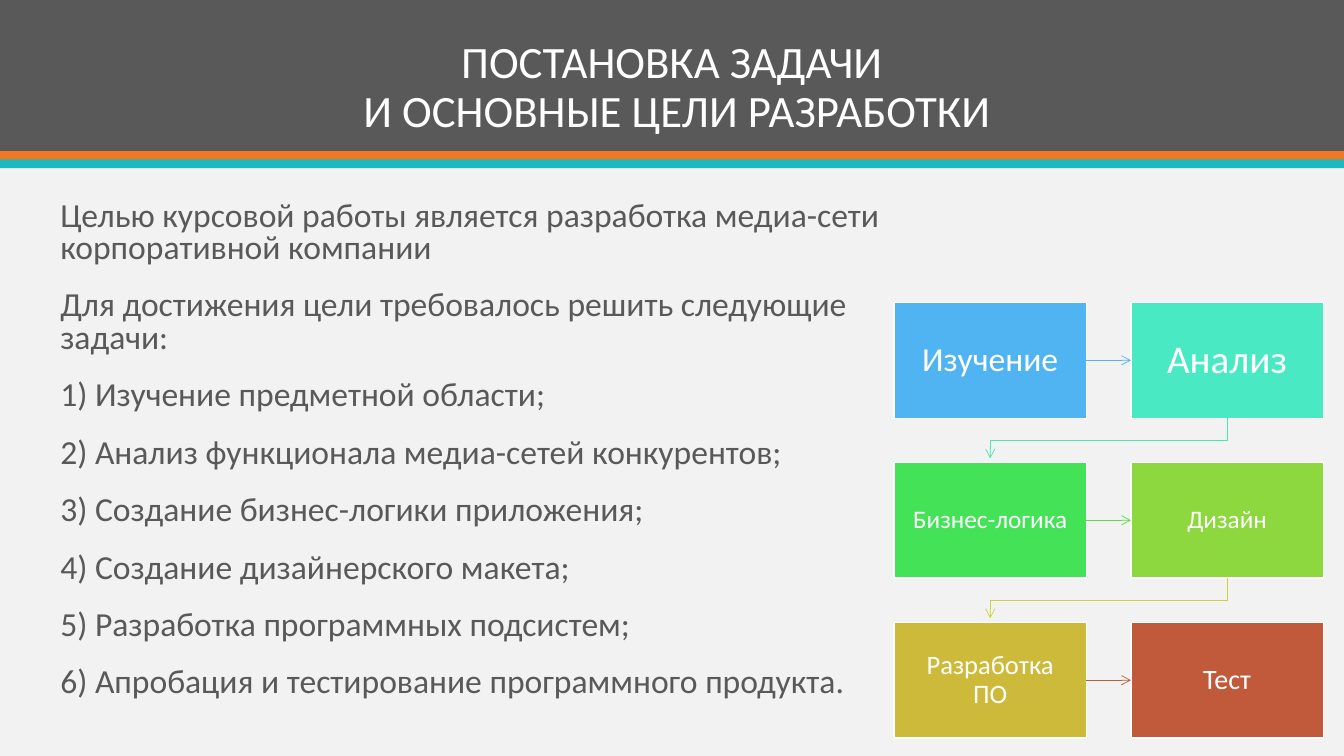
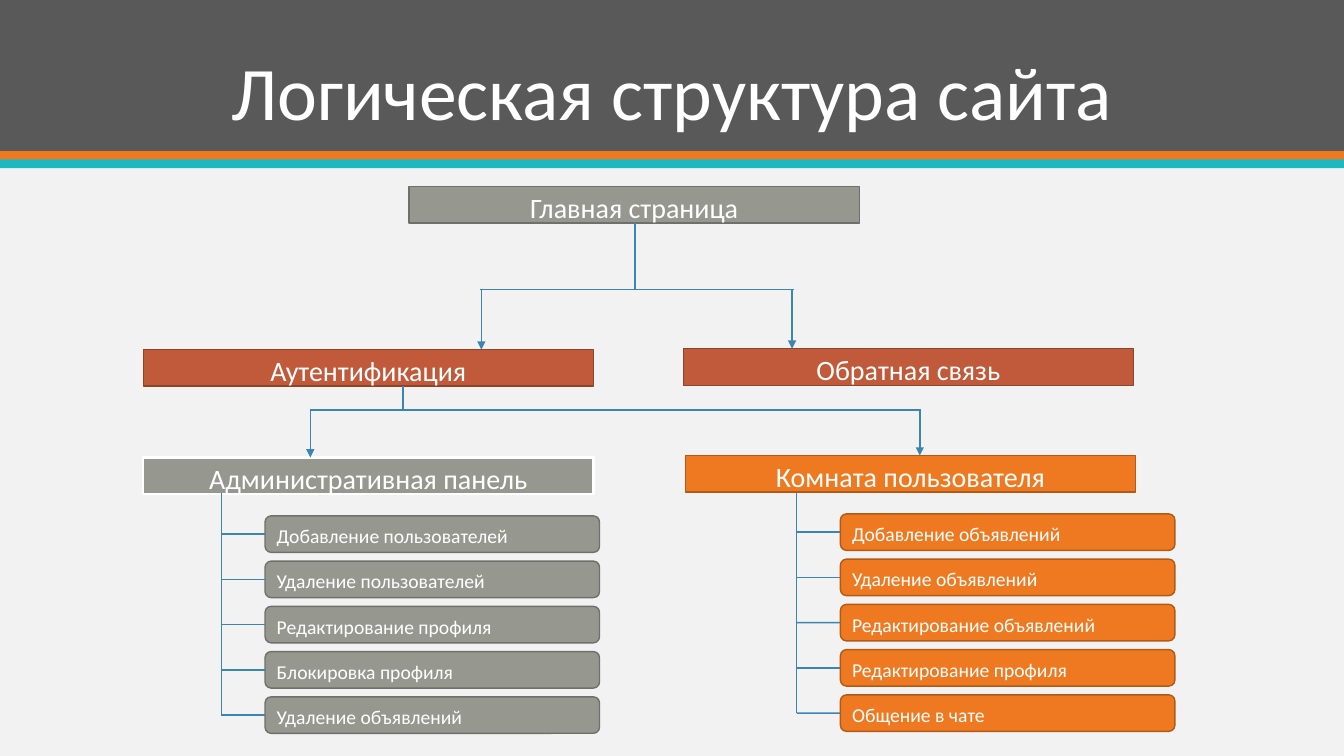
from lxml.etree import SubElement
from pptx import Presentation
from pptx.dml.color import RGBColor
from pptx.enum.shapes import MSO_CONNECTOR, MSO_SHAPE
from pptx.enum.text import MSO_ANCHOR, MSO_AUTO_SIZE, PP_ALIGN
from pptx.oxml.ns import qn
from pptx.util import Cm, Pt

rgb = RGBColor.from_string
STRAIGHT = MSO_CONNECTOR.STRAIGHT
FONT = "Calibri"
WHITE, DARK, PALE = "FFFFFF", "595959", "F2F2F2"
ORANGE, TEAL, BRICK, GREY = "EF7920", "1EB8C1", "C05A3A", "969890"
GREY_EDGE, BRICK_EDGE, ORANGE_EDGE = "6F706B", "8E432B", "B15A18"
LINK = "3B85B3"
TITLE_FORMAT = {"alignment": PP_ALIGN.CENTER, "line_spacing": 0.9}
BODY_FORMAT = {"line_spacing": 0.8, "space_before": Pt(18)}
LEVEL_FORMAT = {"alignment": PP_ALIGN.CENTER, "line_spacing": 1.15, "space_after": Pt(10)}
CARD_FORMAT = {"alignment": PP_ALIGN.LEFT, "line_spacing": 1.15}


def paint(shape, line, width=1, fill=None, tail=None):
    """Set outline, optional fill and arrowhead, and remove the shadow."""
    if fill:
        shape.fill.solid()
        shape.fill.fore_color.rgb = rgb(fill)
    if line:
        shape.line.color.rgb = rgb(line)
        shape.line.width = Pt(width)
    else:
        shape.line.fill.background()
    properties = shape.element.spPr
    if tail:
        SubElement(properties.find(qn("a:ln")), qn("a:tailEnd"), type=tail)
    SubElement(properties, qn("a:effectLst"))


def write(shape, lines, size, colour, anchor, paragraph_format):
    frame = shape.text_frame
    frame.word_wrap = True
    frame.auto_size = MSO_AUTO_SIZE.NONE
    frame.vertical_anchor = anchor
    for index, line in enumerate(lines):
        paragraph = frame.add_paragraph() if index else frame.paragraphs[0]
        paragraph.text = line
        for name, value in paragraph_format.items():
            setattr(paragraph, name, value)
        for run in paragraph.runs:
            run.font.name = FONT
            run.font.size = Pt(size)
            run.font.color.rgb = rgb(colour)


presentation = Presentation()
presentation.slide_width = Cm(33.87)
presentation.slide_height = Cm(19.05)

# Shared layout: background, title position and header bands
layout = presentation.slide_layouts[5]
layout.background.fill.solid()
layout.background.fill.fore_color.rgb = rgb(PALE)
layout_title = layout.placeholders[0]
layout_title.left, layout_title.top = Cm(3.6), Cm(0.7)
layout_title.width, layout_title.height = Cm(26.67), Cm(2.88)

titles = [
    ("ПОСТАНОВКА ЗАДАЧИ\v И ОСНОВНЫЕ ЦЕЛИ РАЗРАБОТКИ", 32),
    ("Логическая структура сайта", 54),
]
slides = []
for text, size in titles:
    slide = presentation.slides.add_slide(layout)
    write(slide.shapes.title, [text], size, WHITE, MSO_ANCHOR.BOTTOM, TITLE_FORMAT)
    slides.append(slide)
goals, structure = slides

# Bands are drawn on a slide, then moved behind the layout's placeholders
bands = [(0, 3.81, DARK), (3.81, 0.22, ORANGE), (4.02, 0.22, TEAL)]
for index, (top, height, colour) in enumerate(bands):
    band = goals.shapes.add_shape(
        MSO_SHAPE.RECTANGLE, 0, Cm(top), presentation.slide_width, Cm(height))
    paint(band, None, fill=colour)
    band.element.nvSpPr.cNvPr.set("id", str(100 + index))
    layout.shapes.element.insert(2 + index, band.element)

# Slide 1: goals and the process
body = goals.shapes.add_textbox(Cm(1.27), Cm(4.95), Cm(21.69), Cm(13.28))
write(body, [
    "Целью курсовой работы является разработка медиа-сети корпоративной компании",
    "Для достижения цели требовалось решить следующие задачи:",
    "1) Изучение предметной области;",
    "2) Анализ функционала медиа-сетей конкурентов;",
    "3) Создание бизнес-логики приложения;",
    "4) Создание дизайнерского макета;",
    "5) Разработка программных подсистем;",
    "6) Апробация и тестирование программного продукта.",
], 24, DARK, MSO_ANCHOR.TOP, BODY_FORMAT)

# text, size, fill, colour of the arrow to the next step
steps = [
    ("Изучение", 24, "50B4F2", "50B4F2"),
    ("Анализ", 28, "49EAC3", "48E8A8"),
    ("Бизнес-логика", 18, "43E257", "5EDD41"),
    ("Дизайн", 18, "8CD83E", "CDD13B"),
    ("Разработка ПО", 19, "CEBA3A", BRICK),
    ("Тест", 20, BRICK, None),
]
step_boxes = []
for index, (text, size, fill, _) in enumerate(steps):
    row, column = divmod(index, 2)
    box = goals.shapes.add_shape(
        MSO_SHAPE.RECTANGLE, Cm(22.53 + 5.97 * column), Cm(7.62 + 4.03 * row),
        Cm(4.85), Cm(2.92))
    paint(box, WHITE, fill=fill)
    write(box, [text], size, WHITE, MSO_ANCHOR.MIDDLE, TITLE_FORMAT)
    for side in ("left", "right", "top", "bottom"):
        setattr(box.text_frame, f"margin_{side}", Cm(0.02 * size))
    step_boxes.append(box)

for index, (start, end) in enumerate(zip(step_boxes, step_boxes[1:])):
    if index % 2 == 0:
        arrow = goals.shapes.add_connector(STRAIGHT, 0, 0, 0, 0)
        arrow.begin_connect(start, 3)
        arrow.end_connect(end, 1)
    else:
        start_x = start.left + start.width // 2
        end_x = end.left + end.width // 2
        bottom = start.top + start.height
        middle = (bottom + end.top) // 2
        builder = goals.shapes.build_freeform(start_x, bottom)
        builder.add_line_segments(
            [(start_x, middle), (end_x, middle), (end_x, end.top - Cm(0.1))], close=False)
        arrow = builder.convert_to_shape()
        arrow.fill.background()
    paint(arrow, steps[index][3], 0.5, tail="arrow")

# Slide 2: site tree
# text, left, top, fill, outline, outline width
pages = [
    ("Главная страница", 10.31, 4.7, GREY, GREY_EDGE, 1),
    ("Аутентификация", 3.61, 8.81, BRICK, BRICK_EDGE, 1),
    ("Обратная связь", 17.22, 8.79, BRICK, BRICK_EDGE, 1),
    ("Комната пользователя", 17.27, 11.48, ORANGE, ORANGE_EDGE, 1),
    ("Административная панель", 3.61, 11.53, GREY, WHITE, 1.5),
]
for text, left, top, fill, outline, width in pages:
    page = structure.shapes.add_shape(
        MSO_SHAPE.RECTANGLE, Cm(left), Cm(top), Cm(11.35), Cm(0.92))
    paint(page, outline, width, fill)
    write(page, [text], 20, WHITE, MSO_ANCHOR.MIDDLE, LEVEL_FORMAT)

# start x, start y, end x, end y, arrowhead
links = [
    (16, 5.62, 16, 7.29, None),
    (12.1, 7.29, 20, 7.29, None),
    (12.13, 7.29, 12.13, 8.81, "triangle"),
    (19.96, 7.29, 19.96, 8.79, "triangle"),
    (10.16, 9.73, 10.16, 10.33, None),
    (7.8, 10.33, 23.2, 10.33, None),
    (7.82, 10.33, 7.82, 11.53, "triangle"),
    (23.18, 10.33, 23.18, 11.48, "triangle"),
    (5.58, 12.43, 5.58, 18.02, None),
    (20.08, 12.4, 20.08, 17.97, None),
]
for *ends, tail in links:
    link = structure.shapes.add_connector(STRAIGHT, *map(Cm, ends))
    paint(link, LINK, tail=tail)

# trunk x, first card top, fill, outline, card texts
branches = [
    (5.58, 13, GREY, GREY_EDGE, [
        "Добавление пользователей", "Удаление пользователей",
        "Редактирование профиля", "Блокировка профиля", "Удаление объявлений"]),
    (20.08, 12.95, ORANGE, ORANGE_EDGE, [
        "Добавление объявлений", "Удаление объявлений",
        "Редактирование объявлений", "Редактирование профиля", "Общение в чате"]),
]
for trunk, first_top, fill, outline, texts in branches:
    for index, text in enumerate(texts):
        top = first_top + 1.14 * index
        card = structure.shapes.add_shape(
            MSO_SHAPE.ROUNDED_RECTANGLE, Cm(trunk + 1.1), Cm(top), Cm(8.43), Cm(0.92))
        paint(card, outline, fill=fill)
        write(card, [text], 14, WHITE, MSO_ANCHOR.MIDDLE, CARD_FORMAT)
        twig = structure.shapes.add_connector(
            STRAIGHT, Cm(trunk), Cm(top + 0.46), Cm(trunk), Cm(top + 0.46))
        twig.end_connect(card, 1)
        paint(twig, LINK)

presentation.save("out.pptx")
